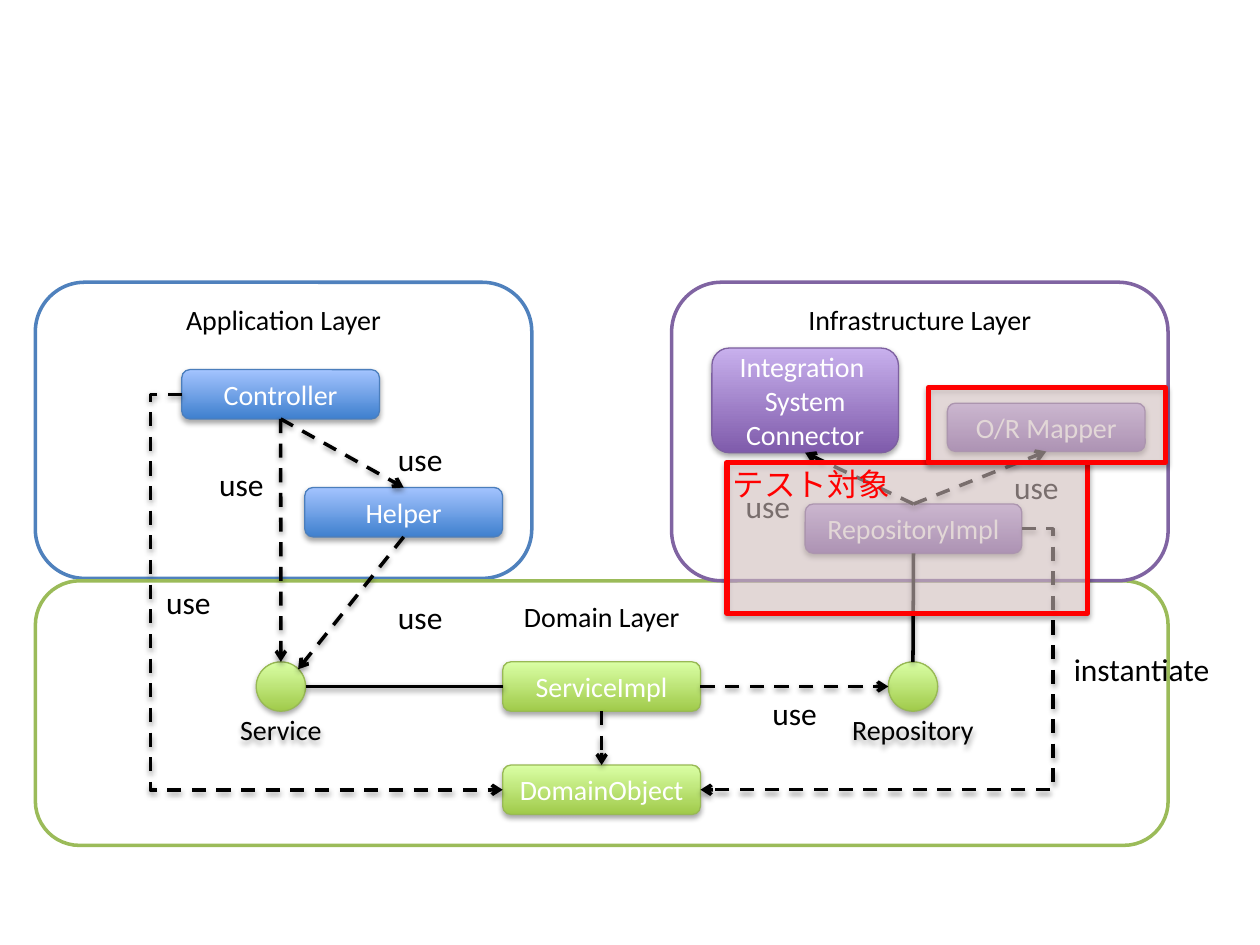
from lxml import etree
from pptx import Presentation
from pptx.dml.color import RGBColor
from pptx.enum.dml import MSO_LINE
from pptx.enum.shapes import MSO_CONNECTOR as LINK, MSO_SHAPE as SHAPE
from pptx.enum.text import MSO_ANCHOR as ANCHOR, PP_ALIGN as ALIGN
from pptx.oxml.ns import qn
from pptx.util import Pt

BLACK = RGBColor(0, 0, 0)
WHITE = RGBColor(255, 255, 255)
RED = RGBColor(255, 0, 0)
PINK = RGBColor(0xF2, 0xDC, 0xDB)
APP_EDGE = RGBColor(0x4F, 0x81, 0xBD)
DOMAIN_EDGE = RGBColor(0x9B, 0xBB, 0x59)
INFRA_EDGE = RGBColor(0x80, 0x64, 0xA2)
BLUE = [RGBColor.from_string(c) for c in ("3F80CE", "A4C4FF", "4B7EBC")]
GREEN = [RGBColor.from_string(c) for c in ("A0CA4A", "DAFFA5", "98B955")]
PURPLE = [RGBColor.from_string(c) for c in ("7F5BAB", "C8B0ED", "7D60A0")]


def cast_shadow(item, alpha, distance):
    effects = etree.SubElement(item._element.spPr, qn("a:effectLst"))
    shadow = etree.SubElement(effects, qn("a:outerShdw"), blurRad=str(Pt(3.15)),
                              dist=str(Pt(distance)), dir="5400000", rotWithShape="0")
    color = etree.SubElement(shadow, qn("a:srgbClr"), val=str(BLACK))
    etree.SubElement(color, qn("a:alpha"), val=str(alpha * 1000))


def write(box, text, size, color, align=ALIGN.CENTER):
    frame = box.text_frame
    for index, line in enumerate(text.split("\n")):
        para = frame.add_paragraph() if index else frame.paragraphs[0]
        para.alignment = align
        span = para.add_run()
        span.text = line
        span.font.name = "Calibri"
        span.font.size = Pt(size)
        span.font.color.rgb = color


deck = Presentation()
deck.slide_width, deck.slide_height = Pt(720), Pt(540)
page = deck.slides.add_slide(deck.slide_layouts[6])

WIDTH, HEIGHT = 113, 28.2
parts = [
    ("Application Layer", 20.2, 161.3, 283.7, 169.2, APP_EDGE),
    ("Controller", 103.9, 211.2, WIDTH, HEIGHT, BLUE),
    ("Helper", 174.2, 278.6, WIDTH, HEIGHT, BLUE),
    ("Domain Layer", 20.2, 331.9, 647.3, 151.2, DOMAIN_EDGE),
    ("ServiceImpl", 287.3, 378.2, WIDTH, HEIGHT, GREEN),
    ("DomainObject", 287.3, 437.2, WIDTH, HEIGHT, GREEN),
    ("Repository", 507.6, 378.2, HEIGHT, HEIGHT, GREEN),
    ("Infrastructure Layer", 383.8, 161.3, 283.7, 170.6, INFRA_EDGE),
    ("O/R Mapper", 541.4, 230.4, WIDTH, 27.6, PURPLE),
    ("RepositoryImpl", 460.1, 288, 123.8, HEIGHT, PURPLE),
    ("Integration \nSystem\nConnector", 406.8, 198.9, 106.6, 59.8, PURPLE),
    ("Service", 146.4, 378.2, HEIGHT, HEIGHT, GREEN),
]
places = {}
for name, left, top, width, height, colors in parts:
    places[name.split()[0]] = left, top, width, height
    is_circle = name in ("Service", "Repository")
    kind = SHAPE.OVAL if is_circle else SHAPE.ROUNDED_RECTANGLE
    box = page.shapes.add_shape(kind, Pt(left), Pt(top), Pt(width), Pt(height))
    if name.endswith("Layer"):
        box.shadow.inherit = False
        box.fill.solid()
        box.fill.fore_color.rgb = WHITE
        box.line.color.rgb = colors
        box.line.width = Pt(2)
        box.text_frame.vertical_anchor = ANCHOR.TOP
        write(box, name, 16, BLACK)
        continue
    box.fill.gradient()
    box.fill.gradient_angle = 90
    for stop, color in zip(box.fill.gradient_stops, colors):
        stop.color.rgb = color
    box.line.color.rgb = colors[2]
    box.line.width = Pt(0.75)
    cast_shadow(box, 35, 1.8)
    frame = box.text_frame
    frame.vertical_anchor = ANCHOR.MIDDLE
    frame.word_wrap = not (is_circle or name == "Helper")
    if is_circle:
        frame.margin_top, frame.margin_bottom = Pt(56.7), Pt(7.2)
    write(box, name, 16, BLACK if is_circle else WHITE)

TOP, BOTTOM, LEFT, RIGHT = (0.5, 0), (0.5, 1), (0, 0.5), (1, 0.5)
UPPER_RIGHT = (0.85, 0.15)
links = [
    ("Service", RIGHT, "ServiceImpl", LEFT, False),
    ("ServiceImpl", RIGHT, "Repository", LEFT, True),
    ("RepositoryImpl", BOTTOM, "Repository", TOP, False),
    ("Controller", BOTTOM, "Service", TOP, True),
    ("Controller", BOTTOM, "Helper", TOP, True),
    ("Helper", BOTTOM, "Service", UPPER_RIGHT, True),
    ("Controller", LEFT, "DomainObject", LEFT, True),
    ("RepositoryImpl", TOP, "O/R", BOTTOM, True),
    ("RepositoryImpl", TOP, "Integration", BOTTOM, True),
    ("RepositoryImpl", RIGHT, "DomainObject", RIGHT, True),
    ("ServiceImpl", BOTTOM, "DomainObject", TOP, True),
]
for source, start, target, end, is_use in links:
    points = []
    for name, (across, down) in ((source, start), (target, end)):
        left, top, width, height = places[name]
        points += [Pt(left + across * width), Pt(top + down * height)]
    is_bent = start == end
    link = page.shapes.add_connector(LINK.ELBOW if is_bent else LINK.STRAIGHT, *points)
    link.line.color.rgb = BLACK
    link.line.width = Pt(2)
    if is_bent:
        guides = link._element.spPr.find(qn("a:prstGeom")).find(qn("a:avLst"))
        etree.SubElement(guides, qn("a:gd"), name="adj1", fmla="val -9800")
    if is_use:
        link.line.dash_style = MSO_LINE.DASH
        etree.SubElement(link.line._get_or_add_ln(), qn("a:tailEnd"), type="arrow")
    cast_shadow(link, 38, 1.6)

labels = [
    ("use", 216.7, 338.4, 46.8), ("use", 430.6, 393.1, 46.8),
    ("use", 216.7, 247.7, 46.8), ("use", 114.5, 262.1, 46.8),
    ("use", 84.2, 329.8, 46.8), ("use", 415.4, 275, 46.8),
    ("use", 568.8, 264.2, 46.8), ("instantiate", 602.6, 367.9, 99.4),
]
for text, left, top, width in labels:
    box = page.shapes.add_textbox(Pt(left), Pt(top), Pt(width), Pt(28.8))
    box.text_frame.word_wrap = True
    write(box, text, 18, BLACK)

for left, top, width, height in ((415.4, 264.2, 205.9, 86.4), (530.6, 221.4, 135.4, 42.8)):
    region = page.shapes.add_shape(SHAPE.RECTANGLE, Pt(left), Pt(top), Pt(width), Pt(height))
    region.fill.solid()
    region.fill.fore_color.rgb = PINK
    color = region._element.spPr.find(qn("a:solidFill"))[0]
    etree.SubElement(color, qn("a:alpha"), val="50000")
    region.line.color.rgb = RED
    region.line.width = Pt(3)
    cast_shadow(region, 35, 1.8)

caption = page.shapes.add_textbox(Pt(411.8), Pt(262.1), Pt(125.3), Pt(51.1))
caption.text_frame.word_wrap = True
write(caption, "テスト対象", 18, RED, ALIGN.LEFT)

deck.save("out.pptx")
